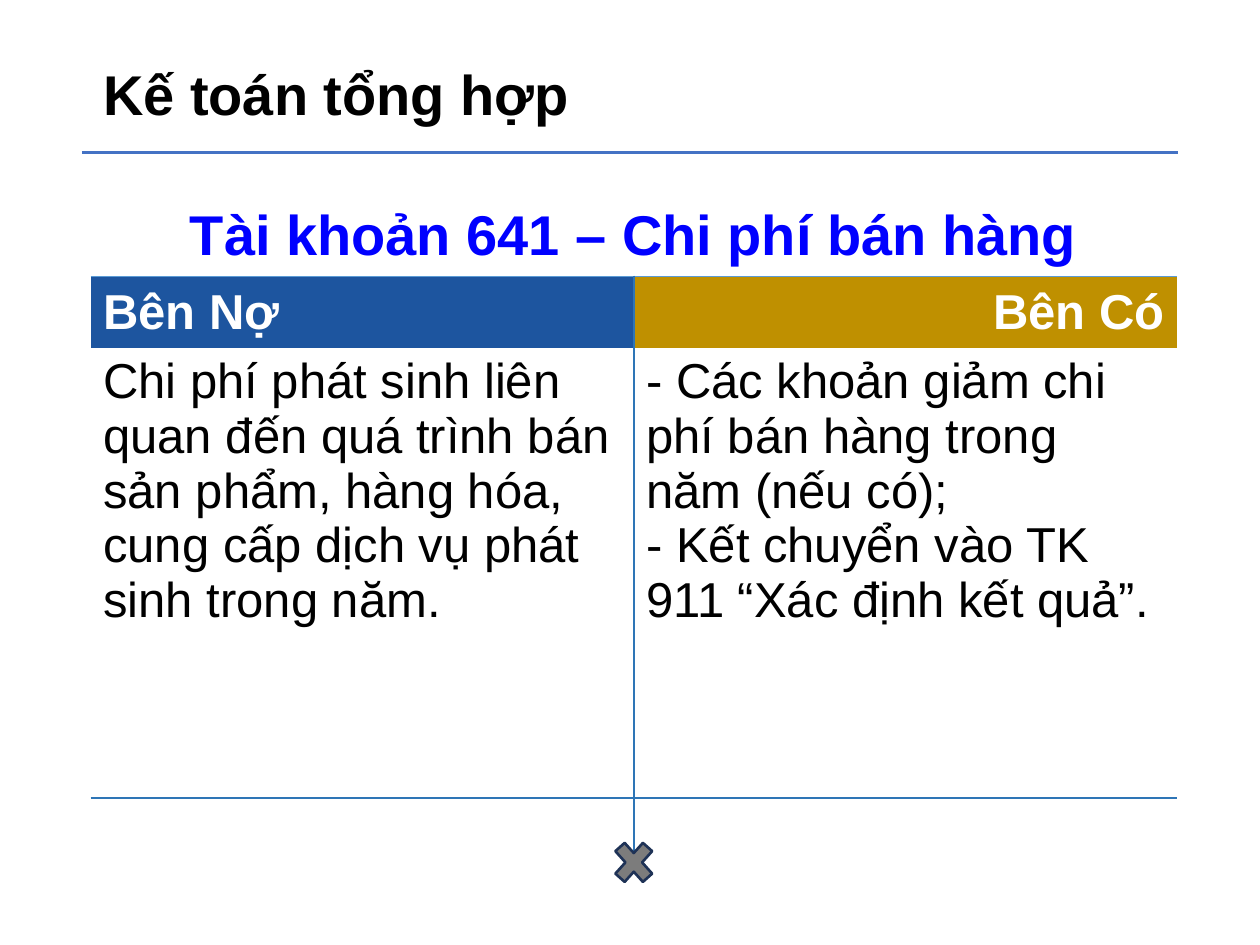
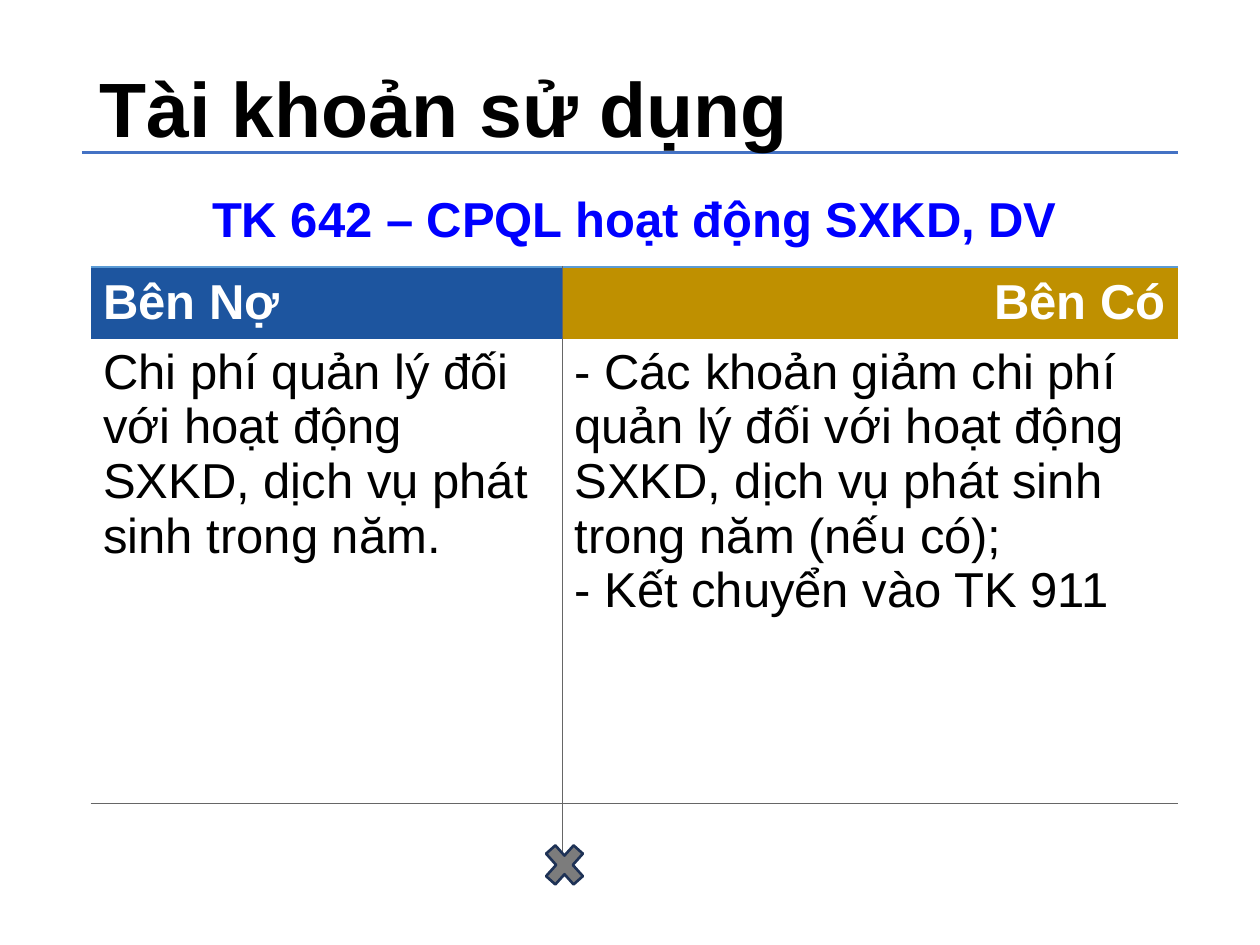
from lxml.etree import SubElement
from pptx import Presentation
from pptx.dml.color import RGBColor
from pptx.enum.shapes import MSO_CONNECTOR, MSO_SHAPE
from pptx.enum.text import MSO_ANCHOR as Anchor, PP_ALIGN as Align
from pptx.oxml.ns import qn
from pptx.util import Inches, Pt

FONT = "Arial"
COLORS = {
    "black": "000000",
    "white": "FFFFFF",
    "caption": "0000FF",
    "rule": "4472C4",
    "debit": "1D559F",
    "credit": "BF9000",
    "caption_line": "5B9BD5",
    "blue_line": "2E75B6",
    "gray_line": "666666",
    "cross": "7C7C7C",
    "cross_line": "1E3256",
}
TABLE_LEFT = 0.72
CAPTION_LINE = ("caption_line", 1)


def rgb(name):
    return RGBColor.from_string(COLORS[name])


def style_paragraph(para, size, color, bold=False, align=Align.LEFT):
    para.alignment = align
    font = para.font
    font.name, font.size, font.bold = FONT, Pt(size), bold
    font.color.rgb = rgb(color)


def add_title_rule(page):
    rule = page.shapes.add_connector(
        MSO_CONNECTOR.STRAIGHT, Inches(0.65), Inches(1.21), Inches(9.35), Inches(1.21))
    rule.line.color.rgb = rgb("rule")
    rule.line.width = Pt(1.5)
    SubElement(rule._element.spPr, qn("a:effectLst"))


def add_title(page, text, left, top, width, size):
    box = page.shapes.add_textbox(Inches(left), Inches(top), Inches(width), Inches(0.98))
    frame = box.text_frame
    frame.word_wrap = True
    frame.vertical_anchor = Anchor.MIDDLE
    para = frame.paragraphs[0]
    para.text = text
    para.line_spacing = 0.9
    style_paragraph(para, size, "black", bold=True)


def set_borders(cell, borders):
    """Draw the named sides (L, R, T, B) and hide the others."""
    properties = cell._tc.get_or_add_tcPr()
    for side in "LRTB":
        line = SubElement(properties, qn(f"a:ln{side}"))
        if side in borders:
            color, width = borders[side]
            line.set("w", str(Pt(width)))
            fill = SubElement(line, qn("a:solidFill"))
            SubElement(fill, qn("a:srgbClr")).set("val", COLORS[color])
        else:
            SubElement(line, qn("a:noFill"))


def fill_cell(cell, lines, size, color, bold=False, align=Align.LEFT,
              anchor=Anchor.MIDDLE, fill=None):
    cell.text = "\n".join(lines)
    cell.vertical_anchor = anchor
    for para in cell.text_frame.paragraphs:
        style_paragraph(para, size, color, bold, align)
    if fill:
        cell.fill.solid()
        cell.fill.fore_color.rgb = rgb(fill)
    else:
        cell.fill.background()


def add_account_table(page, top, columns, rows, caption, caption_size, debit, credit, line):
    """T-account: caption, debit and credit headings, their entries, an empty foot."""
    table = page.shapes.add_table(
        len(rows), 2, Inches(TABLE_LEFT), Inches(top),
        Inches(sum(columns)), Inches(sum(rows))).table
    table.first_row = table.horz_banding = False
    for column, width in zip(table.columns, columns):
        column.width = Inches(width)
    for row, height in zip(table.rows, rows):
        row.height = Inches(height)

    # Borders: the stem of the T between the columns, a line above the foot
    for index in range(2):
        stem = {"RL"[index]: line}
        set_borders(table.cell(0, index), {"B": CAPTION_LINE})
        set_borders(table.cell(1, index), {**stem, "T": CAPTION_LINE})
        set_borders(table.cell(2, index), {**stem, "B": line})
        set_borders(table.cell(3, index), {**stem, "T": line})

    # Caption across both columns
    table.cell(0, 0).merge(table.cell(0, 1))
    fill_cell(table.cell(0, 0), [caption], caption_size, "caption", True, Align.CENTER)

    # Headings, entries and foot of each side
    sides = [("Bên Nợ", Align.LEFT, "debit", debit),
             ("Bên Có", Align.RIGHT, "credit", credit)]
    for index, (heading, align, fill, entries) in enumerate(sides):
        fill_cell(table.cell(1, index), [heading], 28, "white", True, align, fill=fill)
        fill_cell(table.cell(2, index), entries, 28, "black", anchor=Anchor.TOP)
        fill_cell(table.cell(3, index), [], 28, "black")


def add_cross(page, left, top):
    cross = page.shapes.add_shape(
        MSO_SHAPE.MATH_MULTIPLY, Inches(left), Inches(top), Inches(0.42), Inches(0.47))
    cross.shadow.inherit = False
    cross.fill.solid()
    cross.fill.fore_color.rgb = rgb("cross")
    cross.line.color.rgb = rgb("cross_line")
    cross.line.width = Pt(1.5)


def add_page(deck):
    page = deck.slides.add_slide(deck.slide_layouts[6])
    add_title_rule(page)
    return page


def main():
    deck = Presentation()
    deck.slide_width, deck.slide_height = Inches(10), Inches(7.5)

    # Account 641
    page = add_page(deck)
    add_title(page, "Kế toán tổng hợp", 0.72, 0.28, 4.14, 32)
    add_account_table(
        page, 1.56, [4.31, 4.31], [0.63, 0.57, 3.57, 0.57],
        "Tài khoản 641 – Chi phí bán hàng", 32,
        ["Chi phí phát sinh liên quan đến quá trình bán sản phẩm, hàng hóa, "
         "cung cấp dịch vụ phát sinh trong năm."],
        ["- Các khoản giảm chi phí bán hàng trong năm (nếu có);",
         "- Kết chuyển vào TK 911 “Xác định kết quả”."],
        ("blue_line", 1))
    add_cross(page, 4.82, 6.61)

    # Account 642
    page = add_page(deck)
    add_title(page, "Tài khoản sử dụng", 0.69, 0.4, 8.62, 44)
    add_account_table(
        page, 1.38, [3.74, 4.89], [0.74, 0.53, 3.69, 0.53],
        "TK 642 – CPQL hoạt động SXKD, DV", 28,
        ["Chi phí quản lý đối với hoạt động SXKD, dịch vụ phát sinh trong năm."],
        ["- Các khoản giảm chi phí quản lý đối với hoạt động SXKD, "
         "dịch vụ phát sinh trong năm (nếu có);",
         "- Kết chuyển vào TK 911"],
        ("gray_line", 0.5))
    add_cross(page, 4.27, 6.63)

    deck.save("out.pptx")


if __name__ == "__main__":
    main()
